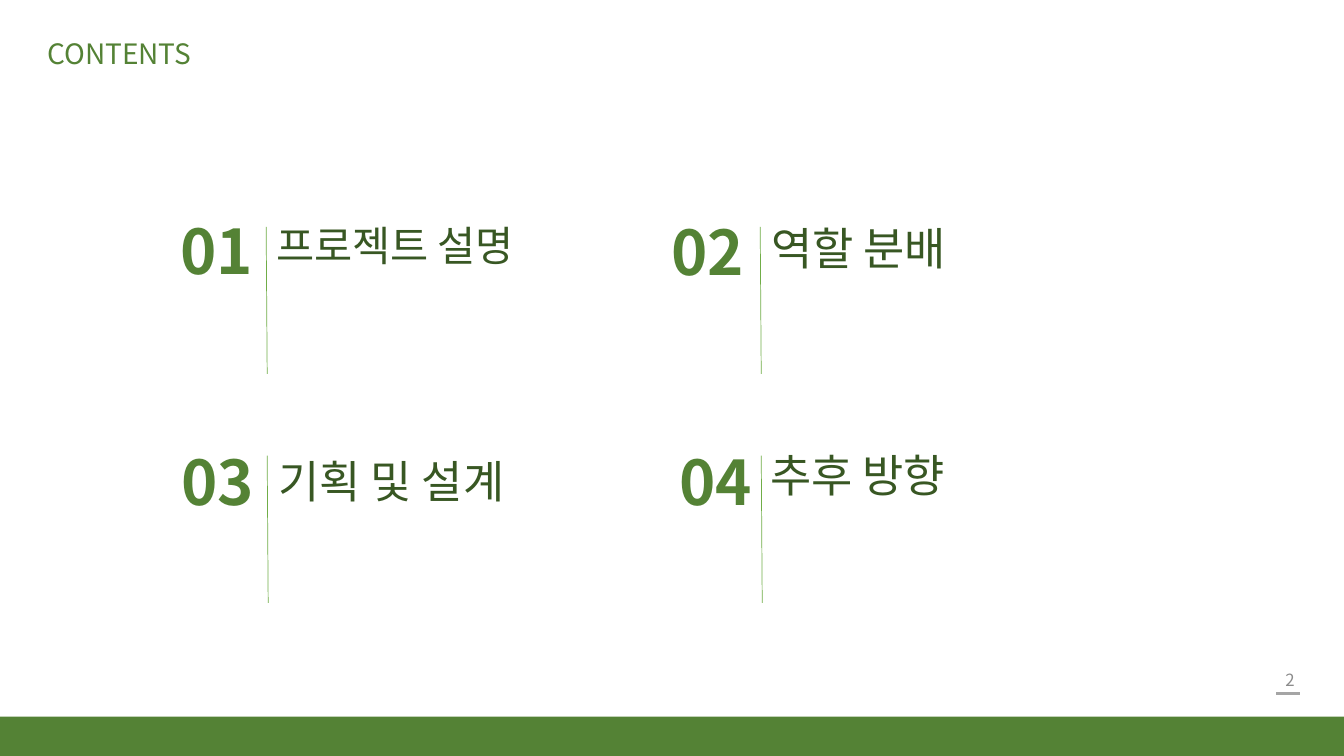
from lxml.etree import SubElement
from pptx import Presentation
from pptx.dml.color import RGBColor
from pptx.enum.shapes import MSO_CONNECTOR as Connector, MSO_SHAPE as Shape
from pptx.enum.text import MSO_ANCHOR as Anchor, PP_ALIGN as Align
from pptx.oxml.ns import qn
from pptx.util import Inches, Pt

WIDTH, HEIGHT = 13.33, 7.5
FONT = "Noto Sans CJK KR"
GREEN, DARK_GREEN, RULE_GREEN = "548235", "385723", "70AD47"
PAGE_GREY, MARK_GREY = "8C8C8C", "A5A5A5"

HEADING = "CONTENTS"
PAGE_NUMBER = "2"
# number, title, title size, number offset from the rule, title offset from the rule
CHAPTERS = [
    ("01", "프로젝트 설명", 29.6, (-0.95, 0.28), (0, 0.21)),
    ("02", "역할 분배", 32, (-0.98, 0.29), (0.01, 0.24)),
    ("03", "기획 및 설계", 32, (-0.95, 0.3), (0.01, 0.28)),
    ("04", "추후 방향", 32, (-0.91, 0.3), (-0.01, 0.22)),
]
COLUMNS = 2
GRID_LEFT, GRID_TOP = 2.64, 2.25
COLUMN_PITCH, ROW_PITCH = 4.9, 2.27
RULE_HEIGHT, RULE_LEAN = 1.46, 0.01
FOOTER_HEIGHT = 0.39


def rgb(value):
    """Turn a hex string into a colour."""
    return RGBColor.from_string(value)


def add_words(slide, words, left, middle, width, height, size, color,
              bold=False, align=Align.LEFT, spacing=0.9):
    """Add one line of text centred vertically on the given height."""
    box = slide.shapes.add_textbox(Inches(left), Inches(middle - height / 2),
                                   Inches(width), Inches(height))
    frame = box.text_frame
    frame.word_wrap = True
    frame.vertical_anchor = Anchor.MIDDLE
    line = frame.paragraphs[0]
    line.alignment, line.line_spacing = align, spacing
    run = line.add_run()
    run.text = words
    run.font.name, run.font.size, run.font.bold = FONT, Pt(size), bold
    run.font.color.rgb = rgb(color)
    SubElement(run.font._element, qn("a:ea")).set("typeface", FONT)


def add_rule(slide, start, end, color, weight):
    """Add a straight line without shadow."""
    rule = slide.shapes.add_connector(Connector.STRAIGHT, *map(Inches, start + end))
    rule.line.color.rgb = rgb(color)
    rule.line.width = Pt(weight)
    SubElement(rule._element.spPr, qn("a:effectLst"))


def add_footer(slide):
    """Add the green band, the page number and its underline."""
    band = slide.shapes.add_shape(Shape.RECTANGLE, 0, Inches(HEIGHT - FOOTER_HEIGHT),
                                  Inches(WIDTH), Inches(FOOTER_HEIGHT))
    band.shadow.inherit = False
    band.fill.solid()
    band.fill.fore_color.rgb = rgb(GREEN)
    band.line.fill.background()
    add_words(slide, PAGE_NUMBER, 9.94, 6.74, 3, 0.4, 12, PAGE_GREY,
              align=Align.RIGHT, spacing=1)
    add_rule(slide, (12.66, 6.88), (12.89, 6.88), MARK_GREY, 1.5)


def add_chapter(slide, index, chapter):
    """Add one numbered chapter in its grid cell."""
    number, title, title_size, (number_dx, number_dy), (title_dx, title_dy) = chapter
    row, column = divmod(index, COLUMNS)
    left = GRID_LEFT + column * COLUMN_PITCH + row * RULE_LEAN
    top = GRID_TOP + row * ROW_PITCH
    add_words(slide, number, left + number_dx, top + number_dy, 1.2, 0.4, 44, GREEN, bold=True)
    add_words(slide, title, left + title_dx, top + title_dy, 3.5, 0.88, title_size, DARK_GREEN)
    add_rule(slide, (left, top), (left + RULE_LEAN, top + RULE_HEIGHT), RULE_GREEN, 0.5)


def main():
    """Build the contents slide."""
    deck = Presentation()
    deck.slide_width, deck.slide_height = Inches(WIDTH), Inches(HEIGHT)
    slide = deck.slides.add_slide(deck.slide_layouts[6])
    add_footer(slide)
    add_words(slide, HEADING, 0.37, 0.55, 3.85, 0.4, 20, GREEN)
    for index, chapter in enumerate(CHAPTERS):
        add_chapter(slide, index, chapter)
    deck.save("out.pptx")


if __name__ == "__main__":
    main()
